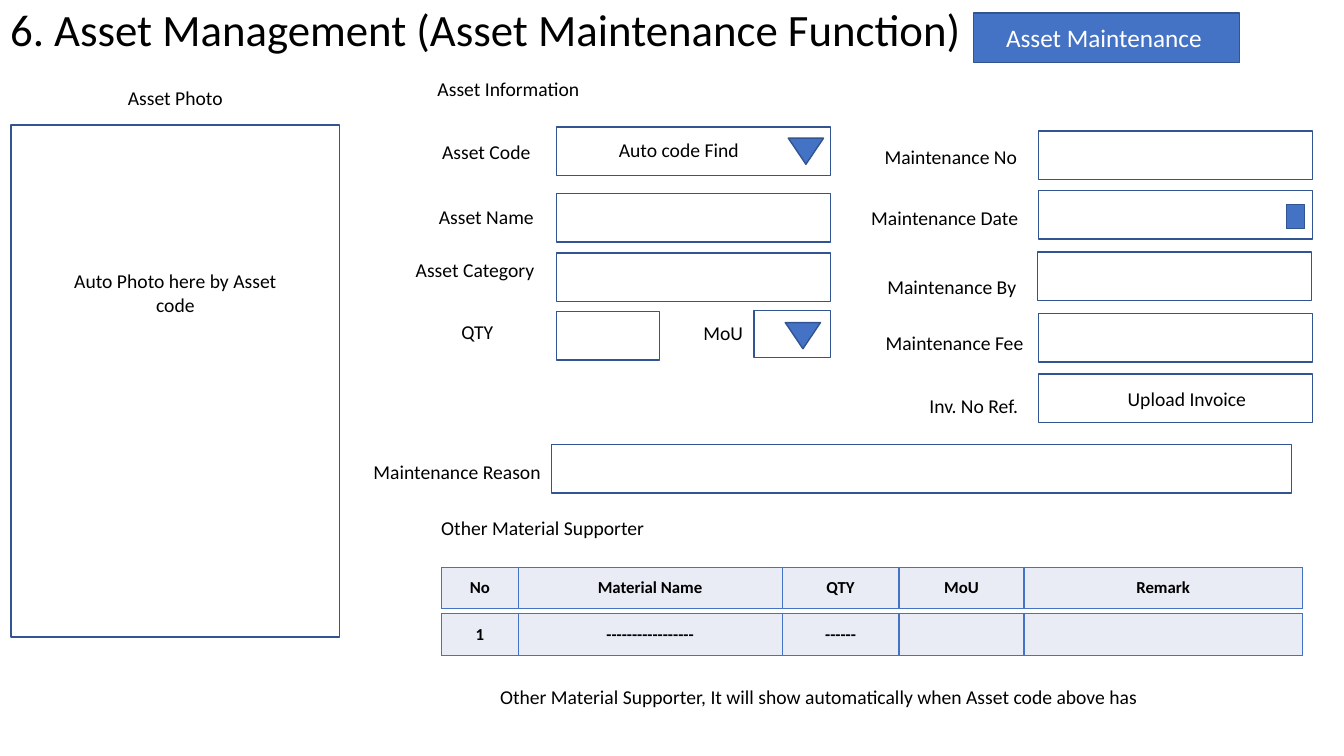
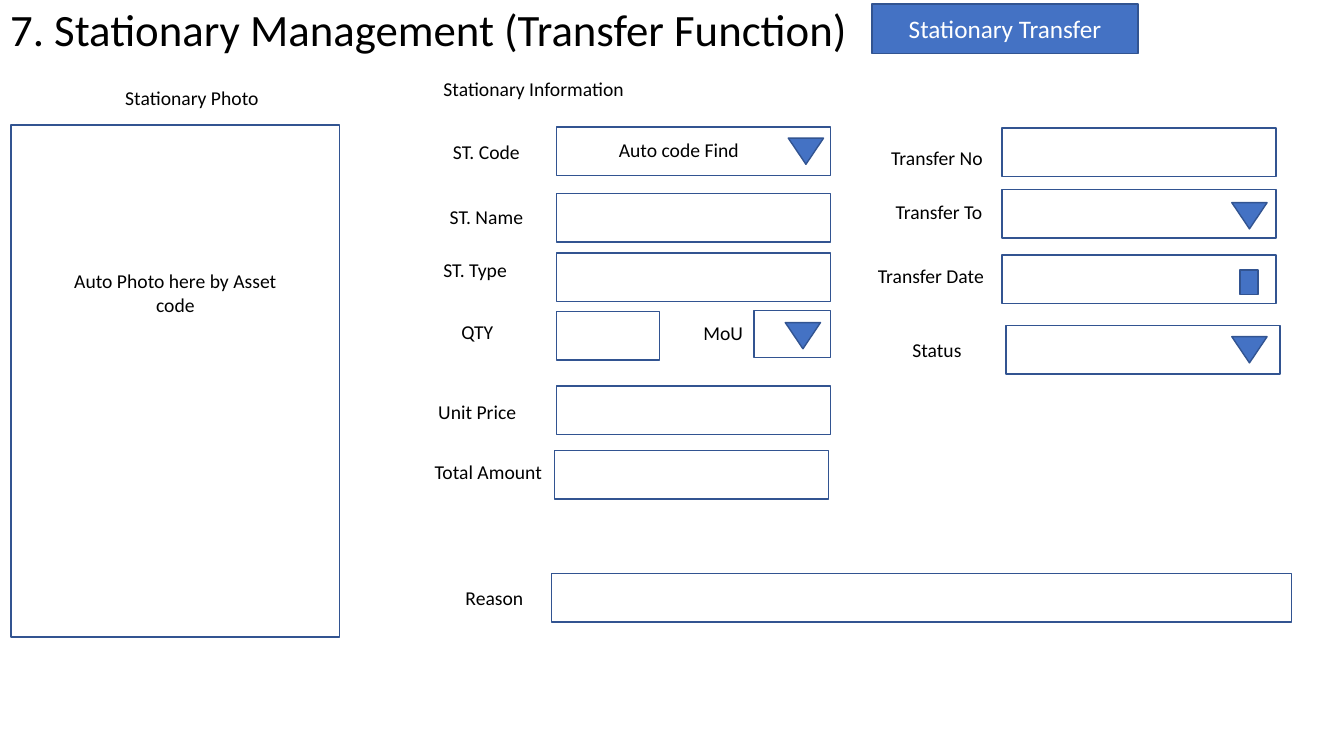
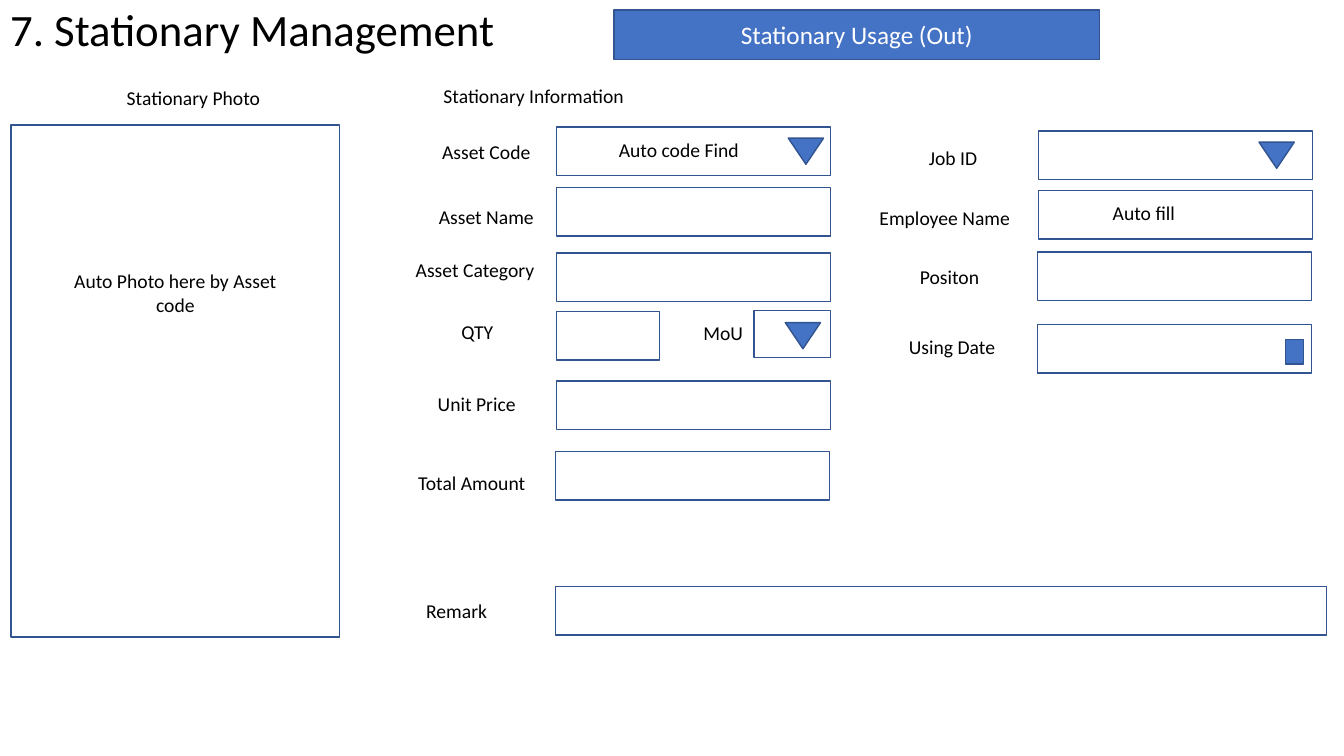
from dataclasses import dataclass
from enum import Enum
from typing import NamedTuple, Optional

from lxml.etree import SubElement
from pptx import Presentation
from pptx.dml.color import RGBColor
from pptx.enum.shapes import MSO_SHAPE as Preset
from pptx.enum.text import MSO_ANCHOR as Anchor, MSO_AUTO_SIZE as AutoSize, PP_ALIGN as Align
from pptx.oxml.ns import qn
from pptx.util import Inches, Length, Pt

# Shared style
BLACK = RGBColor(0x00, 0x00, 0x00)
WHITE = RGBColor(0xFF, 0xFF, 0xFF)
BLUE = RGBColor(0x44, 0x72, 0xC4)
OUTLINE = RGBColor(0x32, 0x54, 0x91)
PALE = RGBColor(0xE9, 0xEB, 0xF5)
FONT = "Calibri"

# The grid has ten columns and ten rows to the inch
SLIDE_COLUMNS, SLIDE_ROWS = 133.33, 75
LABEL_ROWS, ENTRY_ROWS = 4.9, 4.8
ENTRY_COLUMNS = 27.2
MAIN, SIDE, TRANSFER_SIDE = 55.2, 103, 99.4


class Place(NamedTuple):
    column: float
    row: float
    columns: float = ENTRY_COLUMNS
    rows: float = ENTRY_ROWS


class MarkKind(Enum):
    DROPDOWN = (Preset.ISOSCELES_TRIANGLE, 3.5, 2.6, 180)
    DATE = (Preset.RECTANGLE, 1.8, 2.4, 0)


class Mark(NamedTuple):
    kind: MarkKind
    column: float
    row: float


class Label(NamedTuple):
    text: str
    column: float
    row: float
    columns: float = 15.7


@dataclass(frozen=True)
class Field:
    label: Label
    entry: Place
    mark: Optional[Mark] = None
    value: Optional[Label] = None


@dataclass(frozen=True)
class Form:
    title: str
    title_columns: float
    button: str
    button_place: Place
    headings: list[Label]
    fields: list[Field]
    materials: Optional[list[list[str]]] = None


def cells(count: float) -> Length:
    return Inches(count / 10)


def box(place: Place) -> list[Length]:
    return [cells(count) for count in place]


def write(frame, text: str, size: float, color: RGBColor, align=Align.CENTER,
          bold: bool = False) -> None:
    """Fill a text frame or table cell with one formatted paragraph."""
    paragraph = frame.paragraphs[0]
    if text:
        paragraph.add_run().text = text
    paragraph.alignment = align
    font = paragraph.font
    font.name, font.size, font.bold = FONT, Pt(size), bold
    font.color.rgb = color


def draw_shape(slide, preset, place: Place, filled: bool = False):
    shape = slide.shapes.add_shape(preset, *box(place))
    shape.shadow.inherit = False
    if filled:
        shape.fill.solid()
        shape.fill.fore_color.rgb = BLUE
    else:
        shape.fill.background()
    shape.line.color.rgb = OUTLINE
    shape.line.width = Pt(1)
    return shape


def draw_label(slide, label: Label) -> None:
    place = Place(label.column, label.row, label.columns, LABEL_ROWS)
    frame = slide.shapes.add_textbox(*box(place)).text_frame
    frame.word_wrap = True
    frame.vertical_anchor = Anchor.MIDDLE
    write(frame, label.text, 14, BLACK)


def draw_field(slide, field: Field) -> None:
    draw_shape(slide, Preset.RECTANGLE, field.entry)
    draw_label(slide, field.label)
    if field.value:
        draw_label(slide, field.value)
    if field.mark:
        preset, columns, rows, turn = field.mark.kind.value
        place = Place(field.mark.column, field.mark.row, columns, rows)
        draw_shape(slide, preset, place, filled=True).rotation = turn


def draw_material_row(slide, row: float, texts: list[str]) -> None:
    widths = [7.6, 26.2, 11.6, 12.4, 27.6]
    place = Place(43.8, row, sum(widths), 4.1)
    table = slide.shapes.add_table(1, len(widths), *box(place)).table
    table.first_row = table.horz_banding = False
    for index, (width, text) in enumerate(zip(widths, texts)):
        table.columns[index].width = cells(width)
        cell = table.cell(0, index)
        cell.vertical_anchor = Anchor.MIDDLE
        write(cell.text_frame, text, 12, BLACK, bold=True)
        properties = cell._tc.get_or_add_tcPr()
        for side in ("a:lnL", "a:lnR", "a:lnT", "a:lnB"):
            border = SubElement(properties, qn(side), w=str(Pt(1)))
            paint = SubElement(border, qn("a:solidFill"))
            SubElement(paint, qn("a:srgbClr"), val=str(BLUE))
        cell.fill.solid()
        cell.fill.fore_color.rgb = PALE


def draw_form(deck, form: Form) -> None:
    slide = deck.slides.add_slide(deck.slide_layouts[5])

    # Title and button
    title = slide.shapes.title
    title.left, title.top, title.width, title.height = box(
        Place(0, 0.3, form.title_columns, 5.9))
    frame = title.text_frame
    frame.auto_size = AutoSize.NONE
    frame.word_wrap = True
    frame.vertical_anchor = Anchor.TOP
    write(frame, form.title, 32, BLACK, Align.LEFT)
    frame.paragraphs[0].line_spacing = 0.9
    button = draw_shape(slide, Preset.RECTANGLE, form.button_place, filled=True)
    button.text_frame.vertical_anchor = Anchor.MIDDLE
    write(button.text_frame, form.button, 18, WHITE)

    # Photo frame
    draw_shape(slide, Preset.RECTANGLE, Place(1.1, 12.4, 32.6, 50.8))
    draw_label(slide, Label("Auto Photo here by Asset code", 4.8, 26.6, 25.2))

    # Headings, fields and materials
    for heading in form.headings:
        draw_label(slide, heading)
    for field in form.fields:
        draw_field(slide, field)
    for index, texts in enumerate(form.materials or []):
        draw_material_row(slide, 56.3 + 4.6 * index, texts)


def item_fields(code: str, name: str, category: str, name_row: float = 19.2) -> list[Field]:
    """The fields that identify the item on every form."""
    return [
        Field(Label(code, 40.4, 12.6), Place(MAIN, 12.6),
              Mark(MarkKind.DROPDOWN, 78.2, 13.7), Label("Auto code Find", 57, 12.4, 20.7)),
        Field(Label(name, 40.4, 19), Place(MAIN, name_row)),
        Field(Label(category, 39.5, 24.3), Place(MAIN, 25.1)),
        Field(Label("QTY", 39.5, 30.5), Place(MAIN, 30.9, 10.2)),
        Field(Label("MoU", 65.3, 30.6, 12.9), Place(74.8, 30.8, 7.6, 4.7),
              Mark(MarkKind.DROPDOWN, 77.9, 32)),
    ]


FORMS = [
    Form(
        "6. Asset Management (Asset Maintenance Function)", 100.4,
        "Asset Maintenance ", Place(96.6, 1.3, 26.4, 4.9),
        [Label("Asset Photo", 10.4, 7.2, 14),
         Label("Asset Information", 40.6, 6.3, 19.7),
         Label("Other Material Supporter", 40.8, 49.9, 26.1),
         Label("Other Material Supporter, It will show automatically when Asset code above has",
               47.1, 66.7, 68.3)],
        item_fields("Asset Code", "Asset Name", "Asset Category ") + [
            Field(Label("Maintenance No ", 85.7, 13.1, 17.7), Place(SIDE, 13)),
            Field(Label("Maintenance Date ", 85.1, 19.1, 17.7), Place(SIDE, 18.9),
                  Mark(MarkKind.DATE, 127.6, 20.3)),
            Field(Label("Maintenance By ", 86, 26, 17.3), Place(102.9, 25)),
            Field(Label("Maintenance Fee", 85.5, 31.5, 18.4), Place(SIDE, 31.1)),
            Field(Label("Inv. No Ref.", 87.4, 37.8, 18.4), Place(SIDE, 37.1),
                  value=Label("Upload Invoice", 107.4, 37.1, 20.7)),
            Field(Label("Maintenance Reason", 35.8, 44.3, 19.1), Place(54.7, 44.1, 73.4)),
        ],
        [["No", "Material Name", "QTY", "MoU", "Remark"],
         ["1", "-----------------", "------", "", ""]],
    ),
    Form(
        "7. Stationary Management (Transfer Function)", 86.5,
        "Stationary Transfer", Place(86.5, 0.4, 26.4, 4.9),
        [Label("Stationary Photo", 10.4, 7.2, 17.3),
         Label("Stationary Information", 40.6, 6.3, 24.7)],
        item_fields("ST. Code", "ST. Name", "ST. Type ") + [
            Field(Label("Unit Price", 39.5, 38.4), Place(MAIN, 38.3)),
            Field(Label("Total Amount", 40.6, 44.3), Place(55, 44.7)),
            Field(Label("Transfer No", 85.1, 13.2), Place(TRANSFER_SIDE, 12.7)),
            Field(Label("Transfer To", 85.3, 18.5), Place(TRANSFER_SIDE, 18.8),
                  Mark(MarkKind.DROPDOWN, 122.2, 20.1)),
            Field(Label("Transfer Date", 85.3, 24.9, 14.1), Place(TRANSFER_SIDE, 25.3),
                  Mark(MarkKind.DATE, 123, 26.8)),
            Field(Label("Status", 85.1, 32.2), Place(99.8, 32.3),
                  Mark(MarkKind.DROPDOWN, 122.2, 33.4)),
            Field(Label("Reason", 42.5, 56.8, 13.1), Place(54.7, 56.9, 73.4)),
        ],
    ),
    Form(
        "7. Stationary Management", 55.1,
        "Stationary Usage (Out)", Place(60.9, 1, 48.2, 4.9),
        [Label("Stationary Photo", 10.4, 7.2, 17.6),
         Label("Stationary Information", 40.6, 7, 24.7)],
        item_fields("Asset Code", "Asset Name", "Asset Category ", name_row=18.6) + [
            Field(Label("Unit Price", 38.1, 37.6, 18.4), Place(MAIN, 37.8)),
            Field(Label("Total Amount", 37.6, 45.4, 18.4), Place(55.1, 44.8)),
            Field(Label("Job ID", 85.7, 13.2, 17.7), Place(SIDE, 13),
                  Mark(MarkKind.DROPDOWN, 124.9, 14.1)),
            Field(Label("Employee Name ", 85.1, 19.1, 17.7), Place(SIDE, 18.9),
                  value=Label("Auto fill ", 103.4, 18.6, 20.6)),
            Field(Label("Positon", 85, 25, 18.4), Place(102.9, 25)),
            Field(Label("Using Date", 85.8, 31.9, 17.3), Place(102.9, 32.2),
                  Mark(MarkKind.DATE, 127.5, 33.7)),
            Field(Label("Remark", 36.1, 58.1, 18.4), Place(55.1, 58.2, 76.5)),
        ],
    ),
]


def main() -> None:
    deck = Presentation()
    deck.slide_width, deck.slide_height = cells(SLIDE_COLUMNS), cells(SLIDE_ROWS)
    for form in FORMS:
        draw_form(deck, form)
    deck.save("out.pptx")


if __name__ == "__main__":
    main()
